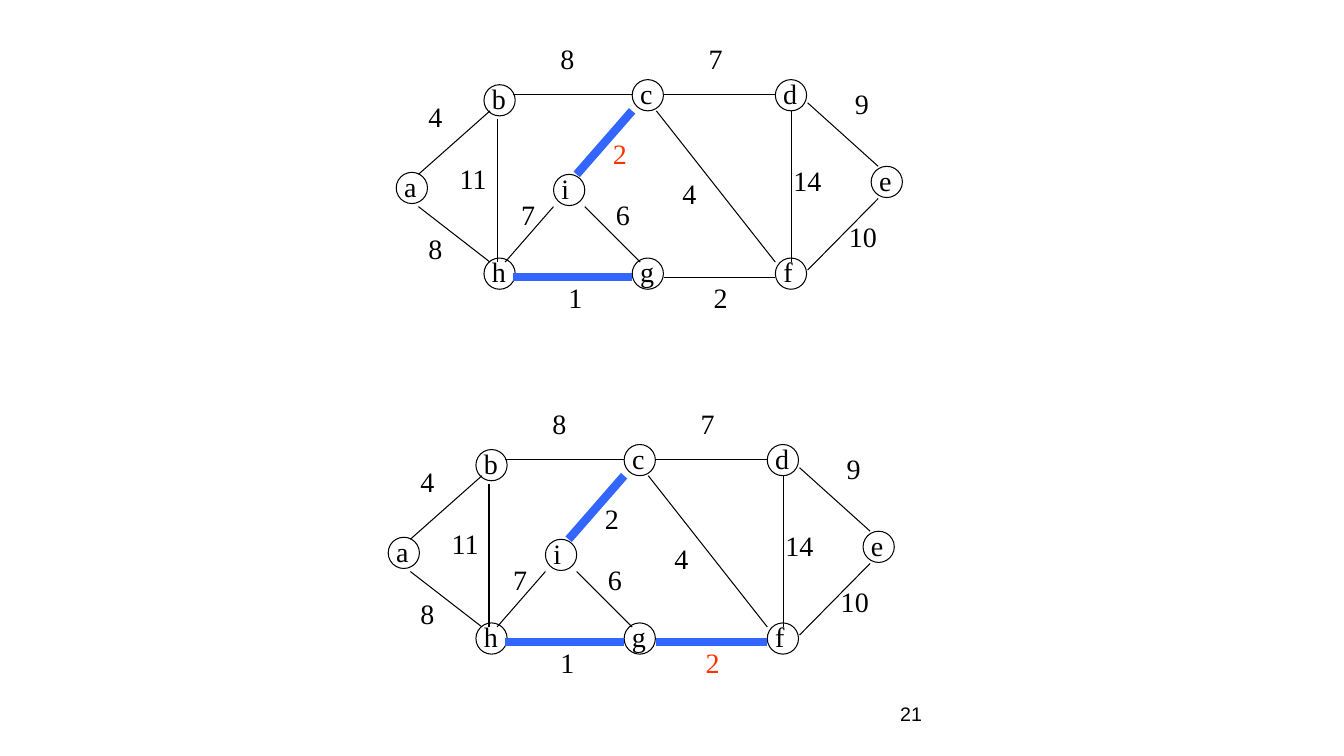
from lxml import etree
from pptx import Presentation
from pptx.dml.color import RGBColor
from pptx.enum.shapes import MSO_CONNECTOR, MSO_SHAPE
from pptx.enum.text import MSO_ANCHOR, MSO_AUTO_SIZE
from pptx.oxml.ns import qn
from pptx.util import Inches, Pt

OVAL = MSO_SHAPE.OVAL
STRAIGHT = MSO_CONNECTOR.STRAIGHT
TOP, MIDDLE = MSO_ANCHOR.TOP, MSO_ANCHOR.MIDDLE
FIT_SHAPE = MSO_AUTO_SIZE.SHAPE_TO_FIT_TEXT

# Vertex: left and top of the circle, width of the letter box
VERTICES = {
    "a": (3.93, 1.71, 0.32),
    "b": (4.80, 0.84, 0.34),
    "h": (4.80, 2.56, 0.34),
    "c": (6.27, 0.79, 0.32),
    "d": (7.69, 0.79, 0.34),
    "e": (8.64, 1.65, 0.32),
    "f": (7.69, 2.56, 0.29),
    "g": (6.27, 2.56, 0.34),
    "i": (5.49, 1.73, 0.28),
}

# Edge: start, end, weight, left and top of the weight box
EDGES = {
    "ab": ((4.15, 1.73), (4.86, 1.10), "4", (4.15, 0.94)),
    "ah": ((4.15, 2.05), (4.86, 2.60), "8", (4.15, 2.25)),
    "bh": ((4.93, 1.18), (4.93, 2.60), "11", (4.46, 1.55)),
    "bc": ((5.09, 0.94), (6.27, 0.94), "8", (5.46, 0.36)),
    "hg": ((5.09, 2.75), (6.27, 2.75), "1", (5.54, 2.73)),
    "gf": ((6.59, 2.75), (7.69, 2.75), "2", (6.98, 2.73)),
    "cf": ((6.51, 1.10), (7.69, 2.60), "4", (6.67, 1.70)),
    "cd": ((6.59, 0.94), (7.69, 0.94), "7", (6.93, 0.36)),
    "df": ((7.85, 1.10), (7.85, 2.60), "14", (7.77, 1.57)),
    "de": ((8.01, 1.02), (8.71, 1.65), "9", (8.38, 0.81)),
    "fe": ((8.01, 2.68), (8.71, 1.97), "10", (8.32, 2.13)),
    "ig": ((5.80, 2.05), (6.35, 2.60), "6", (6.01, 1.91)),
    "hi": ((5.01, 2.60), (5.49, 2.05), "7", (5.07, 1.91)),
    "ic": ((5.72, 1.73), (6.27, 1.10), "2", (5.98, 1.31)),
}

# Step: shift of the graph, chosen edges, edge added last
STEPS = [
    ((0, 0), {"hg", "ic"}, "ic"),
    ((-0.08, 3.62), {"hg", "ic", "gf"}, "gf"),
]


def rgb(value):
    return RGBColor.from_string(value)


class GraphSlide:
    INK, CHOSEN, ADDED = "000000", "3366FF", "FF3300"
    SERIF, SANS = "Times New Roman", "Arial"
    DIAMETER = 0.31
    THIN, THICK = 0.75, 6

    def __init__(self, page):
        self.page = page

    def text(self, shapes, words, left, top, width, height=0.44,
             font=SERIF, size=20, color=INK, anchor=TOP):
        box = shapes.add_textbox(Inches(left), Inches(top), Inches(width), Inches(height))
        frame = box.text_frame
        frame.word_wrap = False
        frame.vertical_anchor = anchor
        paragraph = frame.paragraphs[0]
        paragraph.text = words
        paragraph.font.name = font
        paragraph.font.size = Pt(size)
        paragraph.font.color.rgb = rgb(color)
        return box

    def label(self, shapes, words, left, top, width, **style):
        box = self.text(shapes, words, left, top, width, **style)
        box.text_frame.auto_size = FIT_SHAPE

    def vertex(self, shapes, letter, left, top, letter_width):
        self.label(shapes, letter, left - 0.02, top - 0.08, letter_width, height=0.43)
        circle = shapes.add_shape(OVAL, Inches(left), Inches(top),
                                  Inches(self.DIAMETER), Inches(self.DIAMETER))
        circle.shadow.inherit = False
        circle.fill.background()
        circle.line.color.rgb = rgb(self.INK)
        circle.line.width = Pt(self.THIN)

    def edge(self, shapes, start, end, chosen):
        line = shapes.add_connector(STRAIGHT, *map(Inches, start + end))
        line.line.color.rgb = rgb(self.CHOSEN if chosen else self.INK)
        line.line.width = Pt(self.THICK if chosen else self.THIN)
        etree.SubElement(line._element.spPr, qn("a:effectLst"))

    def graph(self, shift, chosen, added):
        shapes = self.page.shapes.add_group_shape().shapes

        def move(point):
            return point[0] + shift[0], point[1] + shift[1]

        for letter, (left, top, letter_width) in VERTICES.items():
            self.vertex(shapes, letter, *move((left, top)), letter_width)
        for name, (start, end, _, _) in EDGES.items():
            self.edge(shapes, move(start), move(end), name in chosen)
        for name, (_, _, weight, place) in EDGES.items():
            self.label(shapes, weight, *move(place), 0.2 + 0.14 * len(weight),
                       color=self.ADDED if name == added else self.INK)


def main():
    deck = Presentation()
    deck.slide_width, deck.slide_height = Inches(13.33), Inches(7.5)
    slide = GraphSlide(deck.slides.add_slide(deck.slide_layouts[6]))

    # Page number
    number = slide.text(slide.page.shapes, "21", 8.83, 6.83, 2.08, 0.5,
                        font=slide.SANS, size=14, anchor=MIDDLE)
    number.text_frame.word_wrap = True

    # Two steps of the spanning tree
    for shift, chosen, added in STEPS:
        slide.graph(shift, chosen, added)

    deck.save("out.pptx")


if __name__ == "__main__":
    main()
